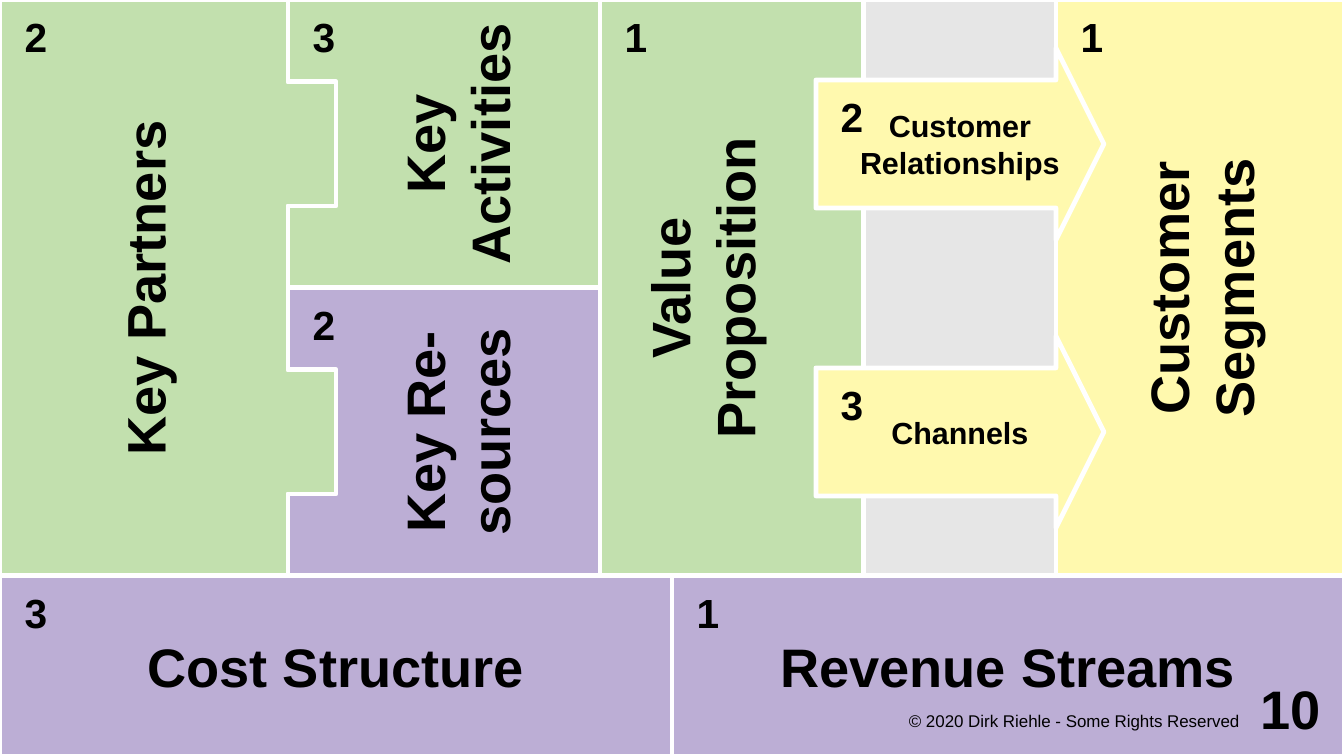
import pptx
import pptx.dml.color
import pptx.enum.shapes
import pptx.enum.text
import pptx.util

Inches = pptx.util.Inches
ALIGN = pptx.enum.text.PP_ALIGN
ANCHOR = pptx.enum.text.MSO_ANCHOR

WIDTH, HEIGHT = 11.02, 6.2
UNIT = WIDTH / 28  # the canvas is 28 grid units wide
ROW = 6 * UNIT
CANVAS_HEIGHT = 2 * ROW
TAB_TOP, TAB_BOTTOM = 0.67, 1.69  # puzzle tab, measured from the top of its row
GREEN, PURPLE, YELLOW, GREY = "C2E0AE", "BCAED5", "FFF9AE", "E6E6E6"
WHITE, BLACK = "FFFFFF", "000000"


def color(code):
    return pptx.dml.color.RGBColor.from_string(code)


def paint(shape, fill):
    shape.shadow.inherit = False
    shape.fill.solid()
    shape.fill.fore_color.rgb = color(fill)
    shape.line.color.rgb = color(WHITE)
    shape.line.width = pptx.util.Pt(2.83)


def add_panel(page, box, fill):
    rectangle = pptx.enum.shapes.MSO_SHAPE.RECTANGLE
    paint(page.shapes.add_shape(rectangle, *map(Inches, box)), fill)


def add_outline(page, points, fill):
    corners = [(Inches(x), Inches(y)) for x, y in points]
    builder = page.shapes.build_freeform(*corners[0])
    builder.add_line_segments(corners[1:], close=True)
    paint(builder.convert_to_shape(), fill)


def add_text(page, box, lines, size, bold=True, align=ALIGN.CENTER,
             anchor=ANCHOR.MIDDLE, insets=(0.08, 0.08, 0.08, 0.08), upright=False):
    left, top, width, height = box
    if upright:  # swap the sides about the centre, then turn
        left, top = left + (width - height) / 2, top + (height - width) / 2
        width, height = height, width
    label = page.shapes.add_textbox(*map(Inches, (left, top, width, height)))
    label.rotation = 270 if upright else 0
    frame = label.text_frame
    frame.word_wrap = True
    frame.vertical_anchor = anchor
    (frame.margin_left, frame.margin_top,
     frame.margin_right, frame.margin_bottom) = map(Inches, insets)
    for index, line in enumerate(lines):
        para = frame.add_paragraph() if index else frame.paragraphs[0]
        para.alignment = align
        span = para.add_run()
        span.text = line
        span.font.name = "Arial"
        span.font.size = pptx.util.Pt(size)
        span.font.bold = bold
        span.font.color.rgb = color(BLACK)


def add_number(page, left, top, number):
    add_text(page, (left, top, 1.5 * UNIT, 1.5 * UNIT), [number], 24)


def add_partners(page, box):
    left, top, width, height = box
    edge = left + width
    points = [(left, top + height), (left, top), (edge, top)]
    for row_top in (top, top + ROW):
        start, end = row_top + TAB_TOP, row_top + TAB_BOTTOM
        points += [(edge, start), (edge + UNIT, start), (edge + UNIT, end), (edge, end)]
    add_outline(page, points + [(edge, top + height)], GREEN)
    add_text(page, box, ["Key Partners"], 32, upright=True)
    add_number(page, left, top, "2")


def add_notched(page, box, fill, lines, number):
    left, top, width, height = box
    start, end, right, bottom = top + TAB_TOP, top + TAB_BOTTOM, left + width, top + height
    add_outline(page, [(left, bottom), (left, end), (left + UNIT, end), (left + UNIT, start),
                       (left, start), (left, top), (right, top), (right, bottom)], fill)
    add_text(page, (left + UNIT / 2, top, width - UNIT / 2, height), lines, 32, upright=True)
    add_number(page, left, top, number)


def add_block(page, box, fill, lines, number, upright=False, title_width=None):
    left, top, width, height = box
    add_panel(page, box, fill)
    title_box = (left, top, title_width or width, height)
    add_text(page, title_box, lines, 32, upright=upright)
    add_number(page, left, top, number)


def add_arrow(page, box, title, number):
    left, top, width, height = box
    neck, right = left + width - UNIT, left + width
    shaft_top, shaft_bottom = top + height / 6, top + height * 5 / 6
    add_outline(page, [(left, shaft_bottom), (left, shaft_top), (neck, shaft_top),
                       (neck, top), (right, top + height / 2), (neck, top + height),
                       (neck, shaft_bottom)], YELLOW)
    add_text(page, (left, shaft_top, width, shaft_bottom - shaft_top), [title], 18)
    add_number(page, left, shaft_top, number)


def add_footer(page, box):
    left, top, width, height = box
    add_text(page, (left, top + 0.3, 3.15, 0.3), ["© 2020 Dirk Riehle - Some Rights Reserved"],
             10, bold=False, align=ALIGN.RIGHT, anchor=ANCHOR.TOP, insets=(0, 0.02, 0.08, 0))
    add_text(page, (left + width - 0.79, top, 0.79, height), ["10"], 32,
             align=ALIGN.RIGHT, insets=(0, 0, 0, 0))


def add_canvas(page):
    # Left side: partners interlocking with activities and resources
    add_partners(page, (0, 0, ROW, CANVAS_HEIGHT))
    inner = 6.5 * UNIT
    add_notched(page, (ROW, 0, inner, ROW), GREEN, ["Key", "Activities"], "3")
    add_notched(page, (ROW, ROW, inner, ROW), PURPLE, ["Key Re-sources"], "2")

    # Right side: value, gap and customers; the value title sits left of centre
    add_block(page, (ROW + inner, 0, 5.5 * UNIT, CANVAS_HEIGHT), GREEN,
              ["Value", "Proposition"], "1", upright=True, title_width=1.66)
    add_panel(page, (18 * UNIT, 0, 4 * UNIT, CANVAS_HEIGHT), GREY)
    add_block(page, (22 * UNIT, 0, ROW, CANVAS_HEIGHT), YELLOW,
              ["Customer", "Segments"], "1", upright=True)

    # Arrows bridging the gap, one per row
    arrows = [("Customer Relationships", "2"), ("Channels", "3")]
    for row, (title, number) in enumerate(arrows):
        add_arrow(page, (17 * UNIT, row * ROW + UNIT, 6 * UNIT, 4 * UNIT), title, number)

    # Bottom: money going out and coming in
    money = [("Cost Structure", "3"), ("Revenue Streams", "1")]
    for column, (title, number) in enumerate(money):
        add_block(page, (column * WIDTH / 2, CANVAS_HEIGHT, WIDTH / 2, HEIGHT - CANVAS_HEIGHT),
                  PURPLE, [title], number)


def main():
    deck = pptx.Presentation()
    deck.slide_width, deck.slide_height = Inches(WIDTH), Inches(HEIGHT)
    page = deck.slides.add_slide(deck.slide_layouts[6])
    add_canvas(page)
    add_footer(page, (7.09, 5.51, 3.74, 0.59))
    deck.save("out.pptx")


if __name__ == "__main__":
    main()
